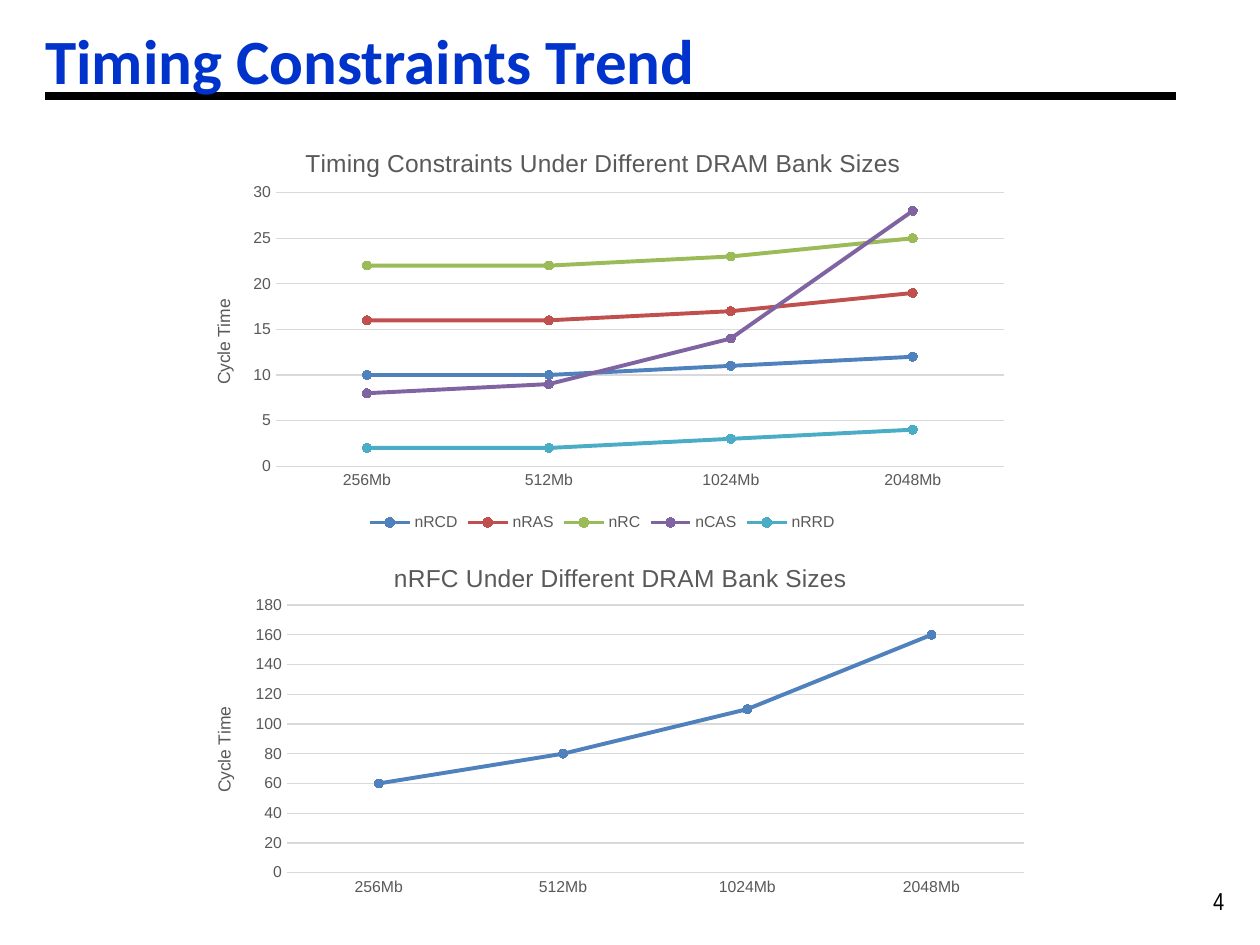
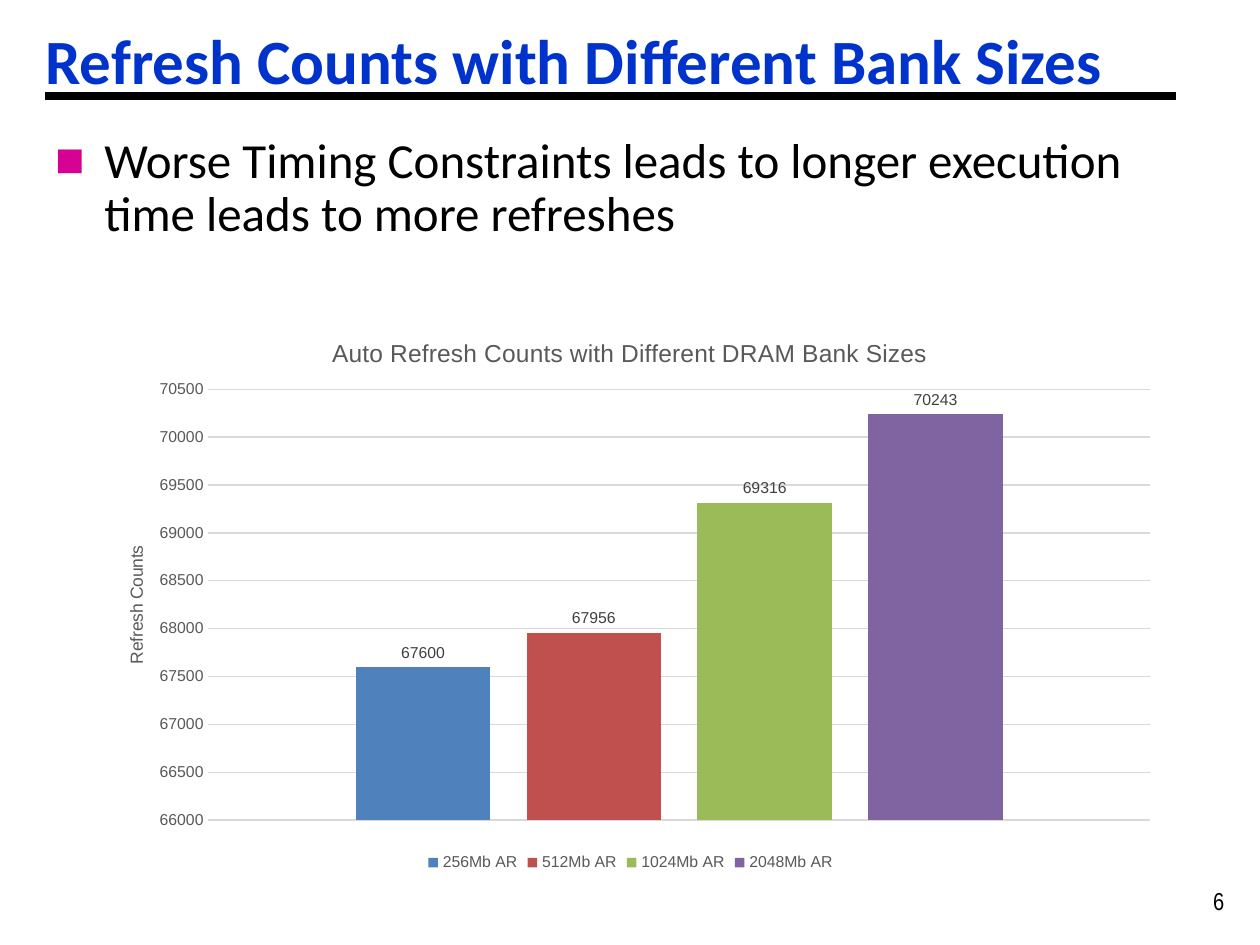
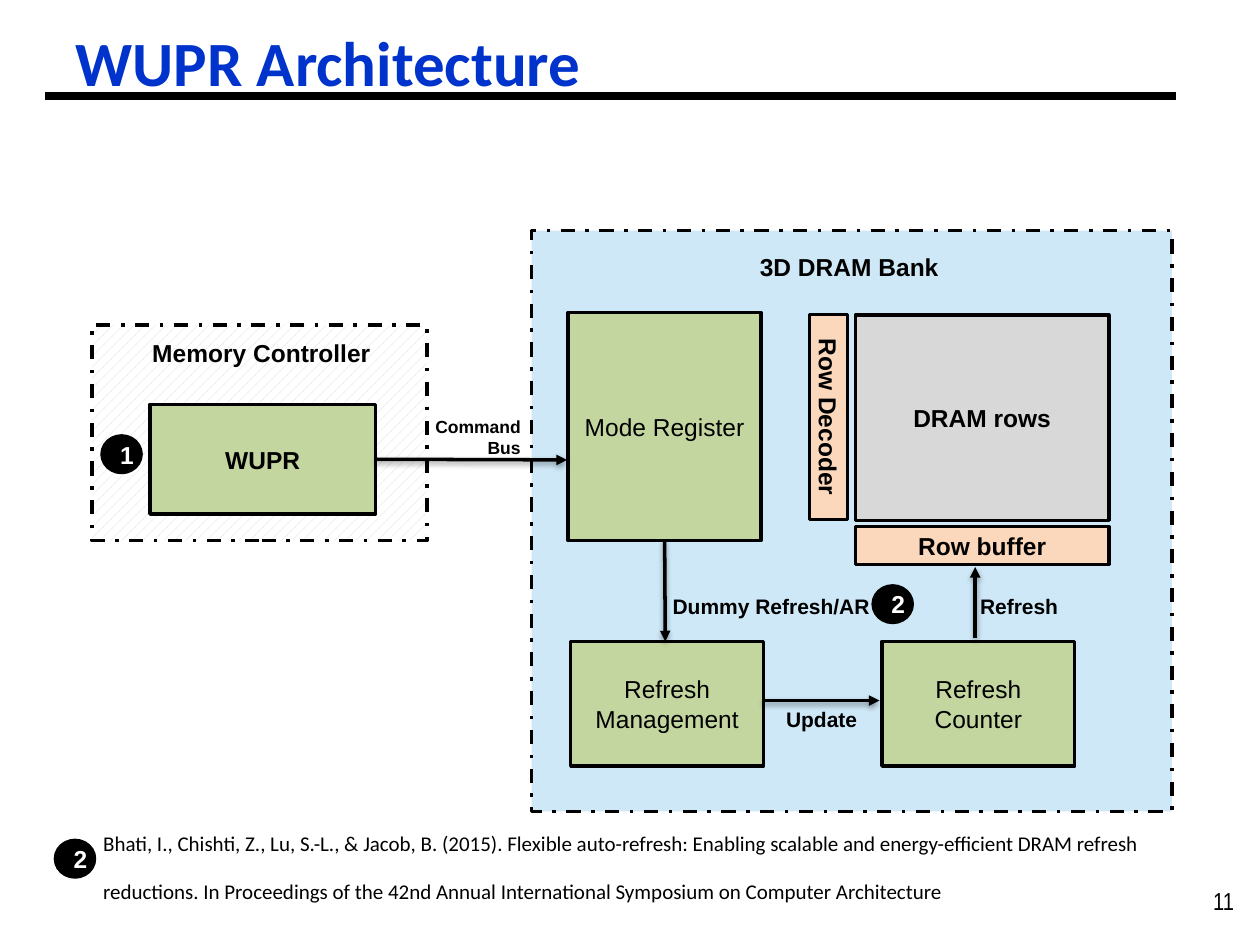
from lxml import etree
from pptx import Presentation
from pptx.chart.data import CategoryChartData
from pptx.dml.color import RGBColor
from pptx.enum.chart import XL_CHART_TYPE, XL_LABEL_POSITION, XL_LEGEND_POSITION, XL_MARKER_STYLE, XL_TICK_MARK
from pptx.enum.dml import MSO_LINE, MSO_PATTERN
from pptx.enum.shapes import MSO_CONNECTOR, MSO_SHAPE
from pptx.enum.text import MSO_ANCHOR, MSO_AUTO_SIZE, PP_ALIGN
from pptx.oxml.ns import qn
from pptx.util import Emu, Pt

LEFT, CENTER, RIGHT = PP_ALIGN.LEFT, PP_ALIGN.CENTER, PP_ALIGN.RIGHT
TOP, MIDDLE, BOTTOM = MSO_ANCHOR.TOP, MSO_ANCHOR.MIDDLE, MSO_ANCHOR.BOTTOM
RECT, OVAL = MSO_SHAPE.RECTANGLE, MSO_SHAPE.OVAL
STRAIGHT = MSO_CONNECTOR.STRAIGHT
LINES, COLUMNS = XL_CHART_TYPE.LINE_MARKERS, XL_CHART_TYPE.COLUMN_CLUSTERED
NO_TICK = XL_TICK_MARK.NONE

PX = 9144  # 100 px to the inch
BLACK, WHITE, BLUE, PINK = "000000", "FFFFFF", "0033CC", "D60093"
GREEN, SKY, GREY, PEACH = "C4D6A0", "CEE8F7", "D8D8D8", "FBD7BB"
CHART_TEXT, LABEL_TEXT, GRID = "595959", "404040", "D9D9D9"
SERIES_COLORS = ["4F81BD", "C0504D", "9BBB59", "8064A2", "4BACC6"]

TITLE_BOX = (36, 11, 950, 71)
PAGE_BOX = (953, 698, 47, 33)
RULE = (36, 76, 933, 76)

BANK_SIZES = ["256Mb", "512Mb", "1024Mb", "2048Mb"]
# plot, title_at and axis_at are fractions of the chart's width and height
TIMING = dict(
    box=(146, 97, 664, 329), kind=LINES, cats=BANK_SIZES, scale=(0, 30, 5), legend=True,
    title="Timing Constraints Under Different DRAM Bank Sizes", axis="Cycle Time",
    plot=(0.11, 0.17, 0.87, 0.66), title_at=(0.14, 0.05), axis_at=(0.03, 0.42),
    series={"nRCD": [10, 10, 11, 12], "nRAS": [16, 16, 17, 19], "nRC": [22, 22, 23, 25],
            "nCAS": [8, 9, 14, 28], "nRRD": [2, 2, 3, 4]})
RFC = dict(
    box=(146, 425, 680, 291), kind=LINES, cats=BANK_SIZES, scale=(0, 180, 20), legend=False,
    title="nRFC Under Different DRAM Bank Sizes", axis="Cycle Time",
    plot=(0.12, 0.19, 0.86, 0.73), title_at=(0.24, 0.06), axis_at=(0.03, 0.46),
    series={"Series 1": [60, 80, 110, 160]})
REFRESH = dict(
    box=(71, 246, 859, 450), kind=COLUMNS, cats=["1"], scale=(66000, 70500, 500), legend=True,
    title="Auto Refresh Counts with Different DRAM Bank Sizes", axis="Refresh Counts",
    plot=(0.11, 0.14, 0.87, 0.76), title_at=(0.22, 0.04), axis_at=(0.03, 0.41),
    series={"256Mb AR": [67600], "512Mb AR": [67956], "1024Mb AR": [69316], "2048Mb AR": [70243]})

POINT = "Worse Timing Constraints leads to longer execution time leads to more refreshes"
POINT_BOX = (34, 103, 894, 101)
CITATION = ("Bhati, I., Chishti, Z., Lu, S.-L., & Jacob, B. (2015). Flexible auto-refresh: "
            "Enabling scalable and energy-efficient DRAM refresh reductions. In Proceedings of the "
            "42nd Annual International Symposium on Computer Architecture")
CITATION_BOX = (72, 642, 921, 94)

LOOKS = {
    "controller": dict(hatch=GREY, dash=True),
    "bank": dict(fill=SKY, dash=True),
    "block": dict(fill=GREEN),
    "bold block": dict(fill=GREEN, bold=True),
    "rows": dict(fill=GREY, bold=True),
    "buffer": dict(fill=PEACH, bold=True),
    "decoder": dict(fill=PEACH, bold=True, rotation=90),
    "badge": dict(fill=BLACK, bold=True, color=WHITE, preset=OVAL),
}
LABELS = {"heading": dict(size=14, align=CENTER), "note": dict(size=12), "bus": dict(size=10, align=RIGHT)}
# (look, text, box), back to front
DIAGRAM = [
    ("controller", "", (73, 258, 266, 171)),
    ("heading", "Memory Controller", (96, 263, 223, 37)),
    ("bold block", "WUPR", (119, 321, 179, 87)),
    ("bus", "Command Bus", (328, 325, 95, 44)),
    ("bank", "", (422, 183, 508, 461)),
    ("heading", "3D DRAM Bank", (362, 195, 624, 37)),
    ("block", "Mode Register", (451, 248, 153, 181)),
    ("note", "Dummy Refresh/AR", (524, 466, 194, 30)),
    ("block", "Refresh\nManagement", (453, 509, 153, 99)),
    ("rows", "DRAM rows", (679, 250, 201, 163)),
    ("note", "Update", (614, 556, 79, 28)),
    ("note", "Refresh", (768, 466, 153, 30)),
    ("block", "Refresh\nCounter", (700, 509, 153, 99)),
    ("buffer", "Row buffer", (679, 418, 201, 30)),
    ("decoder", "Row Decoder", (576, 316, 163, 30)),
    ("badge", "1", (81, 346, 31, 29)),
    ("badge", "2", (693, 465, 31, 29)),
    ("badge", "2", (44, 667, 31, 29)),
]
# (from and to, block at the start, its side)
ARROWS = [
    ((299, 365, 450, 365), "WUPR", 3),
    ((528, 429, 528, 509), "Mode Register", 2),
    ((605, 556, 698, 556), None, None),
    ((774, 506, 774, 450), None, None),
]


def emu(box):
    return [Emu(v * PX) for v in box]


def rgb(value):
    return RGBColor.from_string(value)


def set_all(target, **values):
    for name, value in values.items():
        setattr(target, name, value)


def add_xml(parent, tag, **attrs):
    return etree.SubElement(parent, qn(tag), attrs)


def style_font(font, size, color=BLACK, bold=False, name="Arial"):
    set_all(font, size=Pt(size), bold=bold, name=name)
    font.color.rgb = rgb(color)


def style_line(line, color, width):
    line.color.rgb = rgb(color)
    line.width = Pt(width)


def write(sp, text, size, color=BLACK, bold=False, name="Arial", align=LEFT, anchor=TOP, spacing=None, **frame):
    tf = sp.text_frame
    set_all(tf, text=text, word_wrap=True, vertical_anchor=anchor, **frame)
    for p in tf.paragraphs:
        set_all(p, alignment=align, line_spacing=spacing)
        for r in p.runs:
            style_font(r.font, size, color, bold, name)


def add_text(s, box, text, size, **style):
    sp = s.shapes.add_textbox(*emu(box))
    write(sp, text, size, **style)
    return sp


def add_line(s, ends, width, arrow=False):
    """Straight line; an arrow also gets a head and a soft shadow."""
    line = s.shapes.add_connector(STRAIGHT, *emu(ends))
    style_line(line.line, BLACK, width)
    sp_pr = line._element.spPr
    if arrow:
        add_xml(sp_pr.find(qn("a:ln")), "a:tailEnd", type="triangle")
    effects = add_xml(sp_pr, "a:effectLst")
    if arrow:
        shadow = add_xml(effects, "a:outerShdw", blurRad="40000", dist="20000", dir="5400000", rotWithShape="0")
        add_xml(add_xml(shadow, "a:srgbClr", val=BLACK), "a:alpha", val="38000")
    return line


def add_slide(prs, title, page, title_box=TITLE_BOX):
    s = prs.slides.add_slide(prs.slide_layouts[5])
    add_text(s, PAGE_BOX, page, 14, name="Arial Narrow")
    add_line(s, RULE, 4.5)
    sp = s.shapes.title
    set_all(sp, **dict(zip(("left", "top", "width", "height"), emu(title_box))))
    write(sp, title, 36, BLUE, True, "Calibri", anchor=BOTTOM, margin_left=0, auto_size=MSO_AUTO_SIZE.NONE)
    s.shapes._spTree.append(sp._element)  # the title lies over the rule
    return s


def place(element, index, fractions):
    """Give a chart part a fixed place, as fractions of the chart."""
    for old in element.findall(qn("c:layout")):
        element.remove(old)
    layout = etree.Element(qn("c:layout"))
    element.insert(index, layout)
    manual = add_xml(layout, "c:manualLayout")
    if len(fractions) == 4:
        add_xml(manual, "c:layoutTarget", val="inner")
    for mode in ("c:xMode", "c:yMode"):
        add_xml(manual, mode, val="edge")
    for tag, value in zip("xywh", fractions):
        add_xml(manual, f"c:{tag}", val=str(value))


def write_chart_title(title, text, size, at):
    title.text_frame.text = text
    style_font(title.text_frame.paragraphs[0].runs[0].font, size, CHART_TEXT)
    place(title._element, 1, at)


def style_axes(chart, data):
    cat, val = chart.category_axis, chart.value_axis
    for ax in (cat, val):
        set_all(ax, major_tick_mark=NO_TICK, minor_tick_mark=NO_TICK)
        style_font(ax.tick_labels.font, 9, CHART_TEXT)
    cat.visible = data["kind"] == LINES
    style_line(cat.format.line, GRID, 0.75)
    low, high, step = data["scale"]
    set_all(val, minimum_scale=low, maximum_scale=high, major_unit=step, has_major_gridlines=True)
    val.format.line.fill.background()
    style_line(val.major_gridlines.format.line, GRID, 0.75)
    write_chart_title(val.axis_title, data["axis"], 10, data["axis_at"])
    body = val.axis_title._element.find(".//" + qn("a:bodyPr"))
    body.set("rot", "-5400000")
    body.set("vert", "horz")


def style_series(series, color, kind):
    if kind == LINES:
        series.smooth = False
        style_line(series.format.line, color, 2.25)
        set_all(series.marker, style=XL_MARKER_STYLE.CIRCLE, size=5)
        style_line(series.marker.format.line, color, 0.75)
        fill = series.marker.format.fill
    else:
        labels = series.data_labels
        set_all(labels, show_value=True, position=XL_LABEL_POSITION.OUTSIDE_END)
        style_font(labels.font, 9, LABEL_TEXT)
        fill = series.format.fill
    fill.solid()
    fill.fore_color.rgb = rgb(color)


def add_chart(s, data):
    chart_data = CategoryChartData()
    chart_data.categories = data["cats"]
    for name, values in data["series"].items():
        chart_data.add_series(name, values)
    chart = s.shapes.add_chart(data["kind"], *emu(data["box"]), chart_data).chart
    style_font(chart.font, 10)
    write_chart_title(chart.chart_title, data["title"], 14, data["title_at"])
    style_axes(chart, data)
    chart.has_legend = data["legend"]
    if data["legend"]:
        set_all(chart.legend, position=XL_LEGEND_POSITION.BOTTOM, include_in_layout=False)
        style_font(chart.legend.font, 9, CHART_TEXT)
    plot = chart.plots[0]
    plot.vary_by_categories = False
    if data["kind"] == COLUMNS:
        set_all(plot, gap_width=219, overlap=-27)
    for series, color in zip(plot.series, SERIES_COLORS):
        style_series(series, color, data["kind"])
    place(chart._chartSpace.find(".//" + qn("c:plotArea")), 0, data["plot"])


def add_bullet(p, color):
    p_pr = p._p.get_or_add_pPr()
    p_pr.set("marL", str(39 * PX))
    p_pr.set("indent", str(-39 * PX))
    add_xml(add_xml(p_pr, "a:buClr"), "a:srgbClr", val=color)
    add_xml(p_pr, "a:buFont", typeface="Arial")
    add_xml(p_pr, "a:buChar", char="■")


def add_block(s, box, text, fill=None, hatch=None, dash=False, preset=RECT, rotation=0, **style):
    sp = s.shapes.add_shape(preset, *emu(box))
    sp.shadow.inherit = False
    sp.rotation = rotation
    if hatch:
        sp.fill.patterned()
        sp.fill.pattern = MSO_PATTERN.DASHED_UPWARD_DIAGONAL
        sp.fill.back_color.rgb = rgb(WHITE)
    else:
        sp.fill.solid()
    sp.fill.fore_color.rgb = rgb(hatch or fill)
    style_line(sp.line, BLACK, 2)
    if dash:
        sp.line.dash_style = MSO_LINE.DASH_DOT
    if text:
        write(sp, text, 14, align=CENTER, anchor=MIDDLE, **style)
    return sp


def add_diagram(s):
    blocks = {}
    for look, text, box in DIAGRAM:
        if look in LABELS:
            add_text(s, box, text, bold=True, **LABELS[look])
        else:
            blocks[text] = add_block(s, box, text, **LOOKS[look])
    for ends, start, side in ARROWS:
        arrow = add_line(s, ends, 2, arrow=True)
        if start:
            arrow.begin_connect(blocks[start], side)


def main():
    prs = Presentation()
    prs.slide_width, prs.slide_height = emu((1000, 750))

    s = add_slide(prs, "Timing Constraints Trend", "4")
    add_chart(s, TIMING)
    add_chart(s, RFC)

    s = add_slide(prs, "Refresh Counts with Different Bank Sizes", "6")
    add_chart(s, REFRESH)
    point = add_text(s, POINT_BOX, POINT, 28, name="Calibri", spacing=0.9)
    add_bullet(point.text_frame.paragraphs[0], PINK)

    s = add_slide(prs, "WUPR Architecture", "11", (60, 13, 842, 71))
    add_diagram(s)
    add_text(s, CITATION_BOX, CITATION, 12, name="Calibri", spacing=Pt(27), margin_top=0)

    prs.save("out.pptx")


if __name__ == "__main__":
    main()
